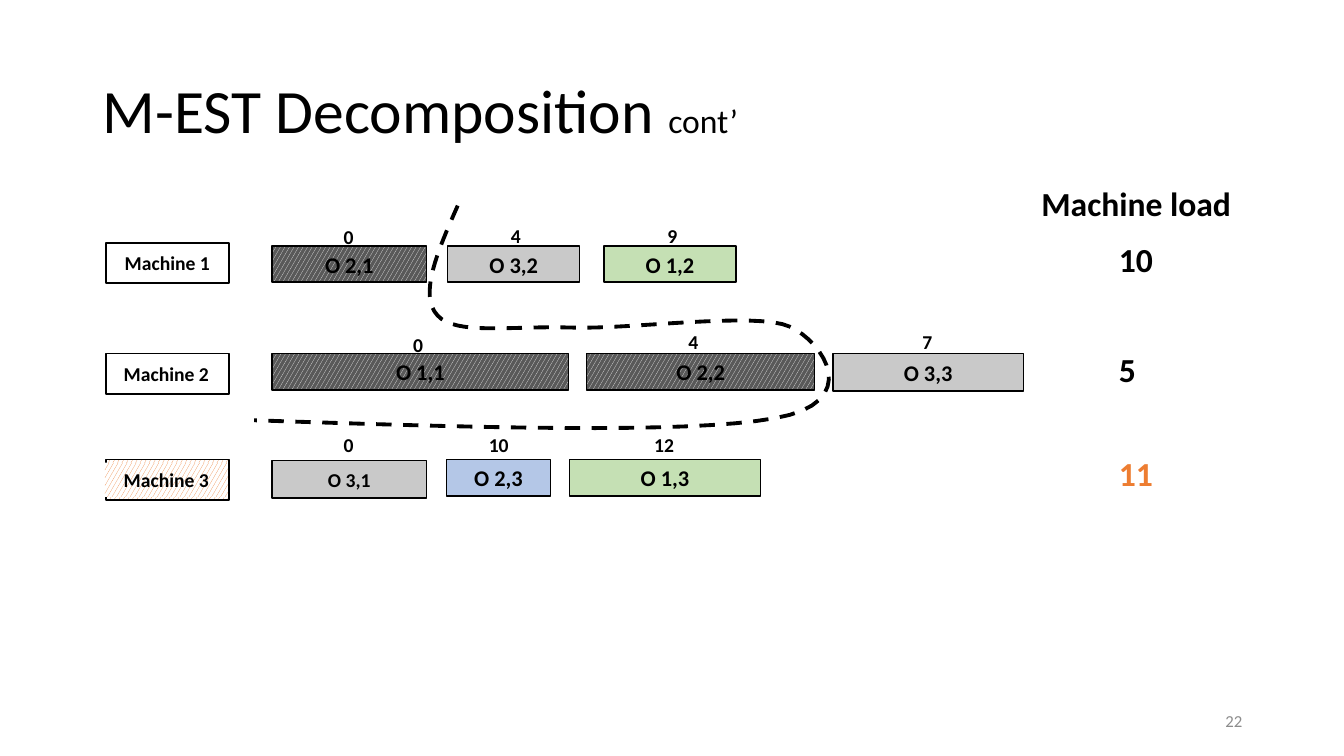
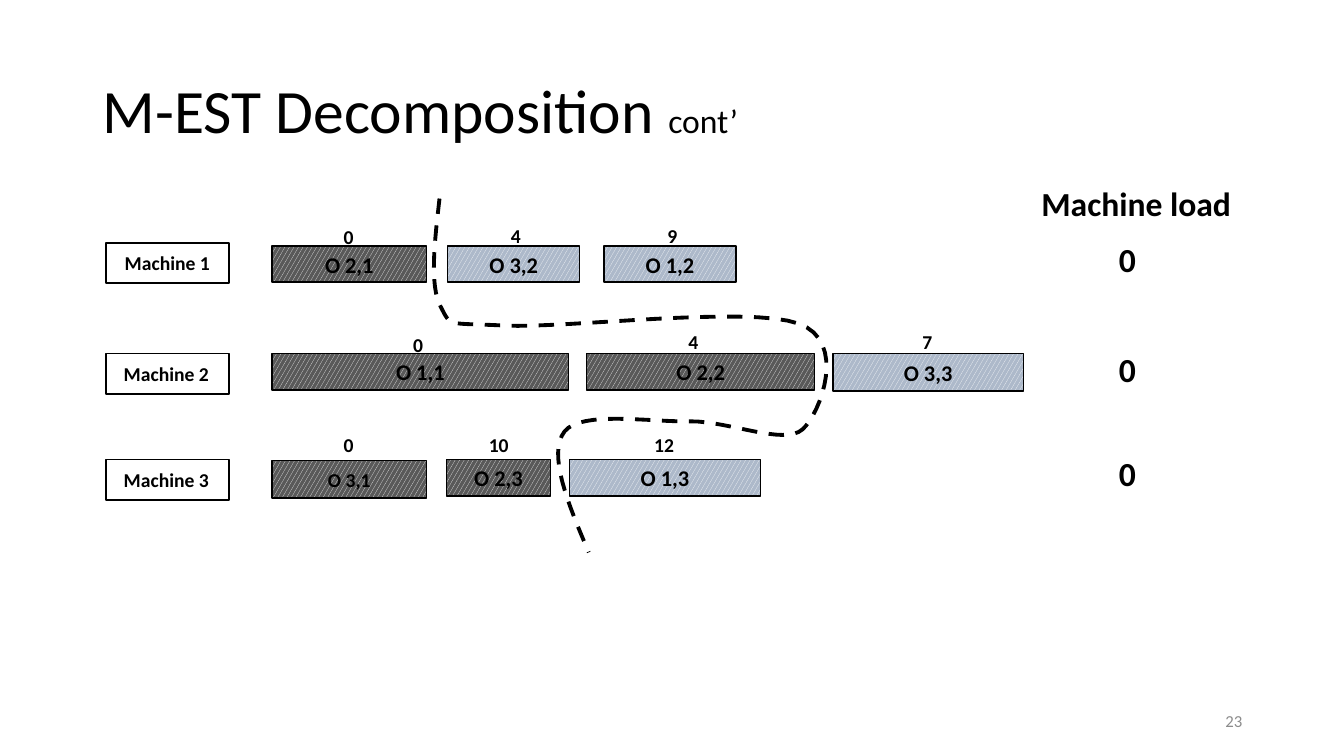
from pptx import Presentation
from pptx.dml.color import RGBColor
from pptx.enum import dml, shapes, text
from pptx.util import Pt

PX = 9144
FONT = "Calibri"
COLORS = {
    "ink": "000000",
    "paper": "FFFFFF",
    "muted": "8C8C8C",
    "orange": "ED7D31",
    "dark": "595959",
    "steel": "ADB9CA",
    "gray": "C9C9C9",
    "green": "C5E0B4",
    "blue": "B4C7E7",
}
HATCHES = {
    "assigned": ("paper", "dark"),
    "removed": ("paper", "steel"),
    "selected": ("orange", "paper"),
}
MACHINES = [
    ("Machine 1", 105, 241, 105, 232),
    ("Machine 2", 105, 351, 104, 341),
    ("Machine 3", 105, 456, 104, 444),
]
OPERATIONS = {
    "O 2,1": (270, 244, 153, 36, "0", 346, 218),
    "O 3,2": (444, 244, 131, 36, "4", 512, 217),
    "O 1,2": (599, 244, 131, 36, "9", 667, 217),
    "O 1,1": (270, 351, 294, 36, "0", 415, 325),
    "O 2,2": (582, 351, 226, 36, "4", 688, 322),
    "O 3,3": (826, 351, 189, 37, "7", 920, 322),
    "O 3,1": (270, 457, 153, 37, "0", 346, 425),
    "O 2,3": (443, 456, 103, 36, "10", 495, 425),
    "O 1,3": (565, 456, 189, 36, "12", 659, 425),
}
STEPS = [
    {
        "number": "22",
        "assigned": ["O 2,1", "O 1,1", "O 2,2"],
        "others": {
            "O 3,1": "gray", "O 3,2": "gray", "O 3,3": "gray",
            "O 1,2": "green", "O 1,3": "green", "O 2,3": "blue",
        },
        "loads": ["10", "5", "11"],
        "selected": "Machine 3",
        "cut": [
            (454, 204),
            (434, 249), (415, 293), (434, 313),
            (452, 333), (509, 323), (567, 325),
            (625, 327), (750, 309), (783, 324),
            (817, 339), (857, 400), (768, 415),
            (680, 431), (466, 424), (252, 417),
        ],
    },
    {
        "number": "23",
        "assigned": ["O 2,1", "O 1,1", "O 2,2", "O 3,1", "O 2,3"],
        "others": dict.fromkeys(["O 3,2", "O 1,2", "O 3,3", "O 1,3"], "removed"),
        "loads": ["0", "0", "0"],
        "selected": None,
        "cut": [
            (436, 197),
            (431, 240), (426, 283), (437, 304),
            (448, 325), (442, 320), (501, 323),
            (560, 326), (742, 303), (792, 321),
            (841, 338), (814, 410), (796, 426),
            (778, 442), (724, 418), (685, 418),
            (646, 419), (577, 407), (560, 428),
            (543, 450), (563, 499), (584, 548),
        ],
    },
]


def color(name):
    return RGBColor.from_string(COLORS[name])


def bezier_points(nodes, steps=16):
    points = nodes[:1]
    for i in range(0, len(nodes) - 1, 3):
        corners = nodes[i:i + 4]
        for step in range(1, steps + 1):
            t = step / steps
            weights = ((1 - t) ** 3, 3 * t * (1 - t) ** 2, 3 * t * t * (1 - t), t ** 3)
            points.append(tuple(
                sum(w * corner[axis] for w, corner in zip(weights, corners))
                for axis in (0, 1)
            ))
    return points


class Deck:
    def __init__(self):
        self.prs = Presentation()
        self.prs.slide_width = 1333 * PX
        self.prs.slide_height = 750 * PX
        self.slide = None

    def new_slide(self, heading, suffix, number):
        self.slide = self.prs.slides.add_slide(self.prs.slide_layouts[5])
        title = self.slide.shapes.title
        title.left, title.top, title.width, title.height = (
            v * PX for v in (92, 40, 1150, 145))
        title.text_frame.vertical_anchor = text.MSO_ANCHOR.MIDDLE
        line = title.text_frame.paragraphs[0]
        line.alignment = text.PP_ALIGN.LEFT
        line.line_spacing = 0.9
        line.font.name = FONT
        line.font.color.rgb = color("ink")
        for part, size in ((heading, 44), (suffix, 24)):
            run = line.add_run()
            run.text = part
            run.font.size = Pt(size)
        page = self.label(number, 942, 695, 300, 40, 12, "muted", False,
                          text.PP_ALIGN.RIGHT)
        page.text_frame.vertical_anchor = text.MSO_ANCHOR.MIDDLE

    def set_text(self, shape, words, size, ink="ink", bold=True,
                 align=text.PP_ALIGN.CENTER):
        shape.text_frame.text = words
        line = shape.text_frame.paragraphs[0]
        line.alignment = align
        line.font.name = FONT
        line.font.size = Pt(size)
        line.font.bold = bold
        line.font.color.rgb = color(ink)

    def paint(self, shape, fill):
        if fill is None:
            shape.fill.background()
        elif fill in HATCHES:
            front, back = HATCHES[fill]
            shape.fill.patterned()
            shape.fill.pattern = dml.MSO_PATTERN.LARGE_CONFETTI
            shape.fill.fore_color.rgb = color(front)
            shape.fill.back_color.rgb = color(back)
        else:
            shape.fill.solid()
            shape.fill.fore_color.rgb = color(fill)

    def label(self, words, x, y, w, h, size, ink="ink", bold=True,
              align=text.PP_ALIGN.LEFT, wrap=True):
        box = self.slide.shapes.add_textbox(x * PX, y * PX, w * PX, h * PX)
        box.text_frame.word_wrap = wrap
        if not wrap:
            box.text_frame.auto_size = text.MSO_AUTO_SIZE.SHAPE_TO_FIT_TEXT
        self.set_text(box, words, size, ink, bold, align)
        return box

    def bar(self, x, y, w, h, fill, words="", size=16):
        rect = self.slide.shapes.add_shape(
            shapes.MSO_SHAPE.RECTANGLE, x * PX, y * PX, w * PX, h * PX)
        rect.shadow.inherit = False
        self.paint(rect, fill)
        rect.line.color.rgb = color("ink")
        rect.line.width = Pt(1)
        if words:
            rect.text_frame.vertical_anchor = text.MSO_ANCHOR.MIDDLE
            self.set_text(rect, words, size)

    def machine(self, name, x, y, label_x, fill):
        self.bar(x, y, 122, 40, fill)
        plate = self.label(name, label_x, y + 3, 122, 34, 14,
                           align=text.PP_ALIGN.CENTER)
        self.paint(plate, fill)

    def operation(self, name, fill):
        x, y, w, h, start, start_center, start_y = OPERATIONS[name]
        self.bar(x, y, w, h, fill, name, 14 if name == "O 3,1" else 16)
        start_w = 20 + 10 * len(start)
        self.label(start, start_center - start_w // 2, start_y, start_w, 34, 14,
                   wrap=False)

    def cut(self, nodes):
        points = [(round(x * PX), round(y * PX)) for x, y in bezier_points(nodes)]
        builder = self.slide.shapes.build_freeform(*points[0])
        builder.add_line_segments(points[1:], close=False)
        curve = builder.convert_to_shape()
        curve.shadow.inherit = False
        curve.fill.background()
        curve.line.color.rgb = color("ink")
        curve.line.width = Pt(2.75)
        curve.line.dash_style = dml.MSO_LINE.DASH


def main():
    deck = Deck()
    for step in STEPS:
        deck.new_slide("M-EST Decomposition ", "cont’", step["number"])
        fills = {**dict.fromkeys(step["assigned"], "assigned"), **step["others"]}
        for name in OPERATIONS:
            deck.operation(name, fills[name])
        deck.label("Machine load", 1023, 177, 210, 50, 24, wrap=False)
        for (name, x, y, label_x, load_y), load in zip(MACHINES, step["loads"]):
            selected = name == step["selected"]
            deck.machine(name, x, y, label_x, "selected" if selected else None)
            deck.label(load, 1100, load_y, 20 + 17 * len(load), 50, 24,
                       "orange" if selected else "ink", wrap=False)
        deck.cut(step["cut"])
    deck.prs.save("out.pptx")


if __name__ == "__main__":
    main()
